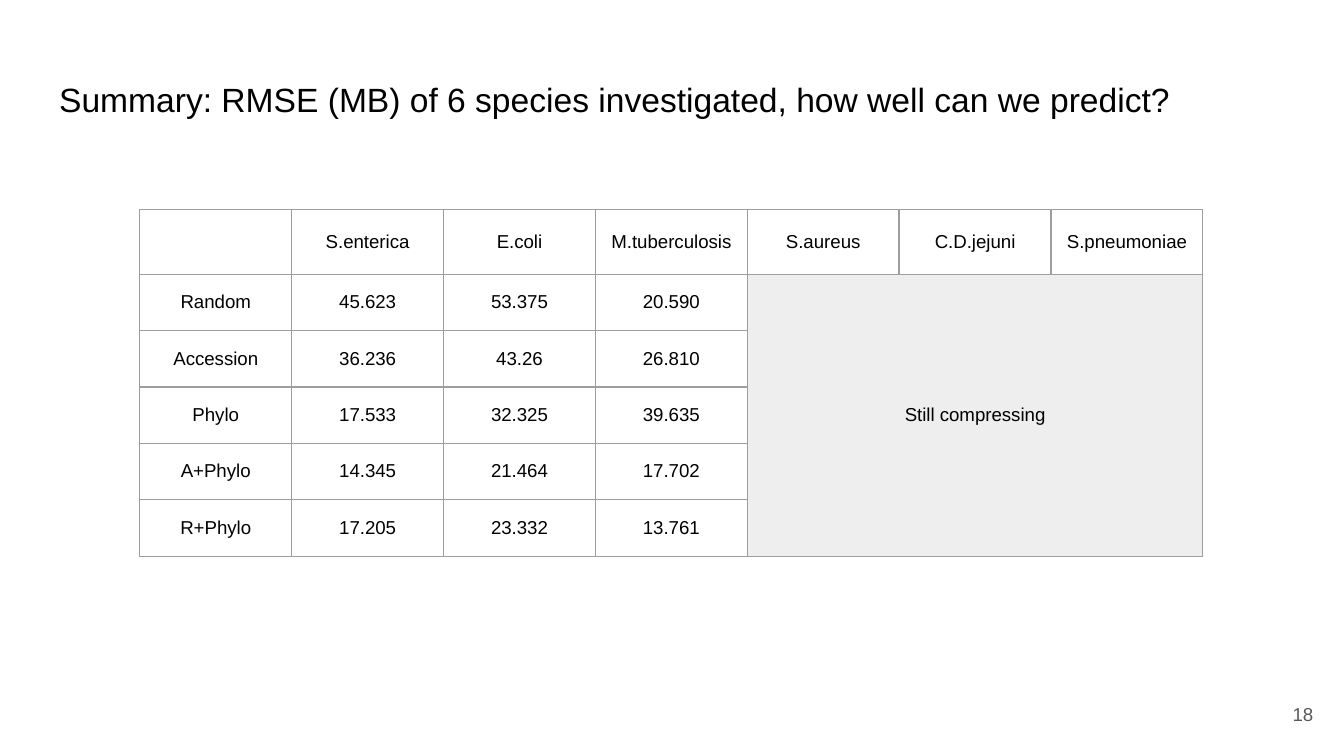
"""Build the RMSE summary slide with its table of species."""
from lxml import etree
from pptx import Presentation
from pptx import util as u
from pptx.dml.color import RGBColor
from pptx.enum import text
from pptx.oxml import ns

BLACK = RGBColor(0x00, 0x00, 0x00)
SLATE = RGBColor(0x59, 0x59, 0x59)
RULE = RGBColor(0x9E, 0x9E, 0x9E)
PALE = RGBColor(0xEE, 0xEE, 0xEE)

ROWS = [
    ["", "S.enterica", "E.coli", "M.tuberculosis", "S.aureus", "C.D.jejuni", "S.pneumoniae"],
    ["Random", "45.623", "53.375", "20.590", "Still compressing"],
    ["Accession", "36.236", "43.26", "26.810"],
    ["Phylo", "17.533", "32.325", "39.635"],
    ["A+Phylo", "14.345", "21.464", "17.702"],
    ["R+Phylo", "17.205", "23.332", "13.761"],
]


def put(frame, words, size=10, color=BLACK, align=text.PP_ALIGN.LEFT, font="Arial"):
    para = frame.paragraphs[0]
    para.alignment = align
    run = para.add_run()
    run.text = words
    run.font.name = font
    run.font.size = u.Pt(size)
    run.font.bold = False
    run.font.color.rgb = color


def pad(item, gap=0.1):
    for side in ("left", "right", "top", "bottom"):
        setattr(item, f"margin_{side}", u.Inches(gap))


def edge(cell, color=RULE, width=0.75):
    props = cell._tc.get_or_add_tcPr()
    for side in ("lnL", "lnR", "lnT", "lnB"):
        line = etree.SubElement(props, ns.qn(f"a:{side}"), w=str(u.Pt(width)))
        fill = etree.SubElement(line, ns.qn("a:solidFill"))
        etree.SubElement(fill, ns.qn("a:srgbClr"), val=str(color))


class Deck:
    def __init__(self):
        self.show = Presentation()
        self.show.slide_width = u.Inches(10)
        self.show.slide_height = u.Inches(10 * 9 / 16)
        self.slide = self.show.slides.add_slide(self.show.slide_layouts[5])

    def title(self, words, *box):
        shape = self.slide.shapes.title
        shape.left, shape.top, shape.width, shape.height = map(u.Inches, box)
        frame = shape.text_frame
        frame.word_wrap = True
        frame.auto_size = text.MSO_AUTO_SIZE.NONE
        frame.vertical_anchor = text.MSO_ANCHOR.TOP
        pad(frame)
        put(frame, words, size=18)

    def label(self, words, *box, **form):
        frame = self.slide.shapes.add_textbox(*map(u.Inches, box)).text_frame
        frame.word_wrap = True
        frame.vertical_anchor = text.MSO_ANCHOR.MIDDLE
        pad(frame)
        put(frame, words, **form)

    def table(self, rows, left, top, wide, high):
        count = len(rows[0])
        box = left, top, wide * count, high * len(rows)
        grid = self.slide.shapes.add_table(len(rows), count, *map(u.Inches, box)).table
        grid.first_row = grid.horz_banding = False
        for col in grid.columns:
            col.width = u.Inches(wide)
        for row in grid.rows:
            row.height = u.Inches(high)
        for cell in grid.iter_cells():
            edge(cell)
            cell.fill.background()
        for i, row in enumerate(rows):
            for j, words in enumerate(row):
                cell = grid.cell(i, j)
                pad(cell, 0.1 if words else 0.09)
                if words:
                    cell.vertical_anchor = text.MSO_ANCHOR.MIDDLE
                    put(cell.text_frame, words, align=text.PP_ALIGN.CENTER)
        return grid


def main():
    deck = Deck()
    deck.title("Summary: RMSE (MB) of 6 species investigated, how well can we predict?",
               0.34, 0.49, 9.32, 0.63)
    deck.label("18", 9.27, 5.1, 0.6, 0.43, color=SLATE, align=text.PP_ALIGN.RIGHT)
    grid = deck.table(ROWS, 1.04, 1.56, wide=1.13, high=0.42)
    block = grid.cell(1, 4)
    block.merge(grid.cell(5, 6))
    block.fill.solid()
    block.fill.fore_color.rgb = PALE
    deck.show.save("out.pptx")


if __name__ == "__main__":
    main()
